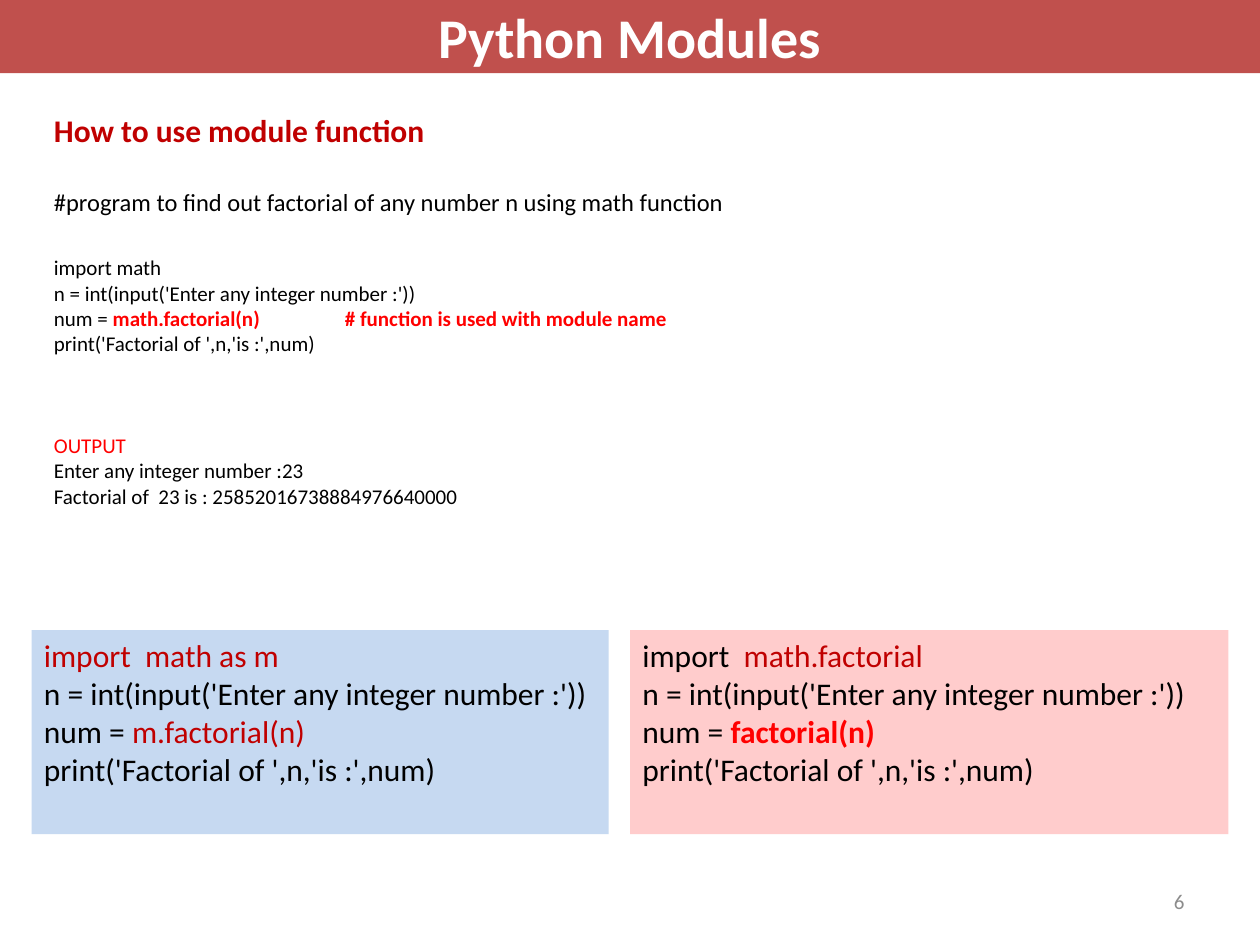
from lxml.etree import SubElement
from pptx import Presentation
from pptx.dml.color import RGBColor
from pptx.enum.shapes import MSO_SHAPE
from pptx.enum.text import MSO_ANCHOR, PP_ALIGN
from pptx.oxml.ns import qn
from pptx.util import Inches, Pt

WHITE = RGBColor(0xFF, 0xFF, 0xFF)
BLACK = RGBColor(0, 0, 0)
BRICK = RGBColor(0xC0, 0x50, 0x4D)
CRIMSON = RGBColor(0xC0, 0, 0)
RED = RGBColor(0xFF, 0, 0)
GREY = RGBColor(0x8C, 0x8C, 0x8C)
PINK = RGBColor(0xFF, 0xCC, 0xCC)
PALE_BLUE = RGBColor(0xC6, 0xD9, 0xF1)
FONT = "Calibri"
COMMENT_TAB = Inches(2.31)

READ_NUMBER = "n = int(input('Enter any integer number :'))"
PRINT_RESULT = "print('Factorial of ',n,'is :',num)"

# Each line: size, space before, then (text, colour, bold) runs
LESSON = [
    (18, 0, [("How to use module function", CRIMSON, True)]),
    (14, 22, [("#program to find out factorial of any number n using math function", BLACK, False)]),
    (12, 22, [("import math", BLACK, False)]),
    (12, 0, [(READ_NUMBER, BLACK, False)]),
    (12, 0, [("num = ", BLACK, False),
             ("math.factorial(n)\t# function is used with module name", RED, True)]),
    (12, 0, [(PRINT_RESULT, BLACK, False)]),
    (12, 44, [("OUTPUT", RED, False)]),
    (12, 0, [("Enter any integer number :23", BLACK, False)]),
    (12, 0, [("Factorial of  23 is : 25852016738884976640000", BLACK, False)]),
]

VARIANTS = [
    (5, 4.75, PINK,
     [("import  ", BLACK, False), ("math.factorial", CRIMSON, False)],
     ("factorial(n)", RED, True)),
    (0.25, 4.58, PALE_BLUE,
     [("import  math as m", CRIMSON, False)],
     ("m.factorial(n)", CRIMSON, False)),
]


def write(frame, lines, align=PP_ALIGN.LEFT, anchor=MSO_ANCHOR.TOP):
    frame.word_wrap = True
    frame.vertical_anchor = anchor
    for index, (size, gap, runs) in enumerate(lines):
        paragraph = frame.add_paragraph() if index else frame.paragraphs[0]
        paragraph.alignment = align
        paragraph.space_before = Pt(gap)
        if any("\t" in text for text, _, _ in runs):
            stops = SubElement(paragraph._p.get_or_add_pPr(), qn("a:tabLst"))
            SubElement(stops, qn("a:tab"), pos=str(COMMENT_TAB), algn="l")
        paragraph.font.name = FONT
        paragraph.font.size = Pt(size)
        for text, colour, bold in runs:
            run = paragraph.add_run()
            run.text = text
            run.font.color.rgb = colour
            run.font.bold = bold


def paint(panel, colour):
    panel.fill.solid()
    panel.fill.fore_color.rgb = colour
    panel.line.fill.background()


def place(*lengths):
    return [Inches(length) for length in lengths]


deck = Presentation()
deck.slide_width, deck.slide_height = place(10, 7.5)
slide = deck.slides.add_slide(deck.slide_layouts[5])

title = slide.shapes.title
title.left, title.top, title.width, title.height = place(0, 0, 10, 0.58)
paint(title, BRICK)
write(title.text_frame, [(32, 0, [("Python Modules", WHITE, True)])],
      PP_ALIGN.CENTER, MSO_ANCHOR.MIDDLE)

lesson = slide.shapes.add_textbox(*place(0.33, 0.83, 9.17, 3.7))
write(lesson.text_frame, LESSON)

page_number = slide.shapes.add_textbox(*place(7.17, 6.95, 2.33, 0.4))
write(page_number.text_frame, [(12, 0, [("6", GREY, False)])],
      PP_ALIGN.RIGHT, MSO_ANCHOR.MIDDLE)

for left, width, fill, import_runs, call in VARIANTS:
    variant = slide.shapes.add_shape(MSO_SHAPE.RECTANGLE, *place(left, 5, width, 1.62))
    variant.shadow.inherit = False
    paint(variant, fill)
    code = [import_runs, [(READ_NUMBER, BLACK, False)],
            [("num = ", BLACK, False), call], [(PRINT_RESULT, BLACK, False)]]
    write(variant.text_frame, [(18, 0, runs) for runs in code])

deck.save("out.pptx")
